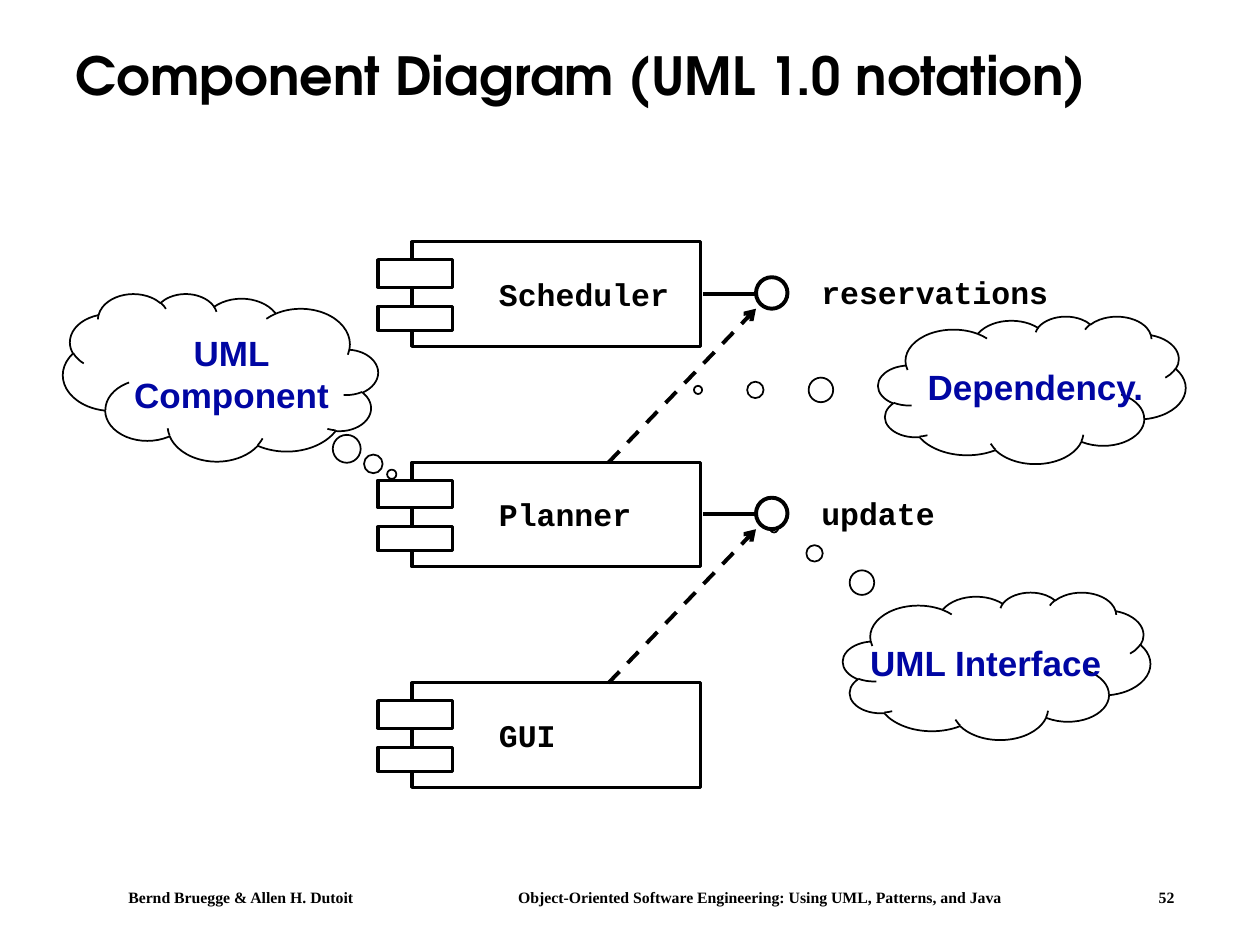
from lxml import etree
from pptx import Presentation
from pptx.dml.color import RGBColor
from pptx.enum.dml import MSO_LINE
from pptx.enum.shapes import MSO_CONNECTOR, MSO_SHAPE
from pptx.enum.text import MSO_ANCHOR, PP_ALIGN
from pptx.oxml.ns import qn
from pptx.util import Inches, Pt

BLACK = RGBColor(0x00, 0x00, 0x00)
WHITE = RGBColor(0xFF, 0xFF, 0xFF)
BLUE = RGBColor(0x00, 0x06, 0xA3)
RECTANGLE, OVAL, CLOUD = MSO_SHAPE.RECTANGLE, MSO_SHAPE.OVAL, MSO_SHAPE.CLOUD_CALLOUT
STRAIGHT = MSO_CONNECTOR.STRAIGHT
LEFT, CENTER, RIGHT = PP_ALIGN.LEFT, PP_ALIGN.CENTER, PP_ALIGN.RIGHT
TOP, MIDDLE = MSO_ANCHOR.TOP, MSO_ANCHOR.MIDDLE
DASH = MSO_LINE.DASH


def write(box, lines, font, size, color=BLACK, align=LEFT, anchor=TOP, inset=0.1, wrap=False):
    frame = box.text_frame
    frame.word_wrap = wrap
    frame.vertical_anchor = anchor
    frame.margin_left = frame.margin_right = Inches(inset)
    frame.margin_top = frame.margin_bottom = Inches(inset / 2)
    for index, line in enumerate(lines):
        para = frame.paragraphs[0] if index == 0 else frame.add_paragraph()
        para.alignment = align
        span = para.add_run()
        span.text = line
        span.font.name = font
        span.font.size = Pt(size)
        span.font.bold = True
        span.font.color.rgb = color


def style(shape, width, fill=WHITE):
    """Give a shape or connector its black line, its fill and no shadow."""
    shape.line.color.rgb = BLACK
    shape.line.width = Pt(width)
    if hasattr(shape, "fill"):
        shape.shadow.inherit = False
        if fill is None:
            shape.fill.background()
        else:
            shape.fill.solid()
            shape.fill.fore_color.rgb = fill
    else:
        etree.SubElement(shape._element.spPr, qn("a:effectLst"))


deck = Presentation()
deck.slide_width, deck.slide_height = Inches(10), Inches(7.5)
page = deck.slides.add_slide(deck.slide_layouts[5])
shapes = page.shapes

# Footer
for text, left, width, align in [
    ("Bernd Bruegge & Allen H. Dutoit", 0.92, 2.4, LEFT),
    ("Object-Oriented Software Engineering: Using UML, Patterns, and Java", 3.83, 4.4, CENTER),
    ("52", 8.92, 0.5, RIGHT),
]:
    box = shapes.add_textbox(Inches(left), Inches(7), Inches(width), Inches(0.25))
    write(box, [text], "Times New Roman", 9, align=align)

# Title
title = shapes.title
title.left, title.top = Inches(0.5), Inches(0.24)
title.width, title.height = Inches(8.92), Inches(0.77)
write(title, ["Component Diagram (UML 1.0 notation)"], "TeX Gyre Adventor", 30,
      anchor=MIDDLE, wrap=True)
title.text_frame.paragraphs[0].line_spacing = 0.9

# Thought clouds: lines, left, top, width, height, pointer x and y
clouds = []
for lines, left, top, width, height, *pointer in [
    (["UML Interface"], 6.69, 4.7, 2.44, 1.17, -0.724, -0.933),
    (["UML", "Component"], 0.5, 2.33, 2.5, 1.33, -0.544, 0.579),
    (["Dependency."], 6.97, 2.51, 2.44, 1.17, -1.086, 0),
]:
    cloud = shapes.add_shape(CLOUD, Inches(left), Inches(top), Inches(width), Inches(height))
    cloud.adjustments[0], cloud.adjustments[1] = pointer
    style(cloud, 1)
    write(cloud, lines, "Arial", 20, BLUE, CENTER, MIDDLE)
    clouds.append(cloud)
interface_cloud, component_cloud, dependency_cloud = clouds
component_cloud._element.spPr.find(qn("a:xfrm")).set("flipH", "1")
dependency_cloud.text_frame.margin_left = Inches(0.33)

# Components, one every 1.75 inches, with the interface each one offers
FIRST_TOP, STEP = 1.92, 1.75
components = [("Scheduler", "reservations"), ("Planner", "update"), ("GUI", None)]
for row, (name, interface) in enumerate(components):
    top = FIRST_TOP + row * STEP
    parts = shapes.add_group_shape().shapes
    body = parts.add_shape(RECTANGLE, Inches(3.27), Inches(top), Inches(2.29), Inches(0.83))
    style(body, 1.75, None)
    label = parts.add_textbox(Inches(3.96), Inches(top + 0.26),
                              Inches(0.15 * len(name)), Inches(0.3))
    write(label, [name], "Courier New", 18, inset=0)
    for offset, height in [(0.51, 0.19), (0.14, 0.22)]:
        tab = parts.add_shape(RECTANGLE, Inches(3), Inches(top + offset),
                              Inches(0.59), Inches(height))
        style(tab, 1.75)
    if interface:
        middle = Inches(top + 0.41)
        stem = parts.add_connector(STRAIGHT, Inches(5.58), middle, Inches(6), middle)
        style(stem, 2.25)
        ball = parts.add_shape(OVAL, Inches(6), Inches(top + 0.28), Inches(0.25), Inches(0.25))
        style(ball, 2.25)
        label = shapes.add_textbox(Inches(6.42), Inches(top + 0.2),
                                   Inches(0.15 * len(interface) + 0.2), Inches(0.4))
        write(label, [interface], "Courier New", 18)

# Dependencies, each from a component to the interface above it
for row in (1, 2):
    top = FIRST_TOP + row * STEP
    arrow = shapes.add_connector(STRAIGHT, Inches(4.83), Inches(top),
                                 Inches(6), Inches(top - 1.22))
    style(arrow, 2.25)
    arrow.line.dash_style = DASH
    etree.SubElement(arrow.line._get_or_add_ln(), qn("a:tailEnd"), type="arrow")

# The dependency cloud lies in front of the arrows
shapes._spTree.append(dependency_cloud._element)

deck.save("out.pptx")
